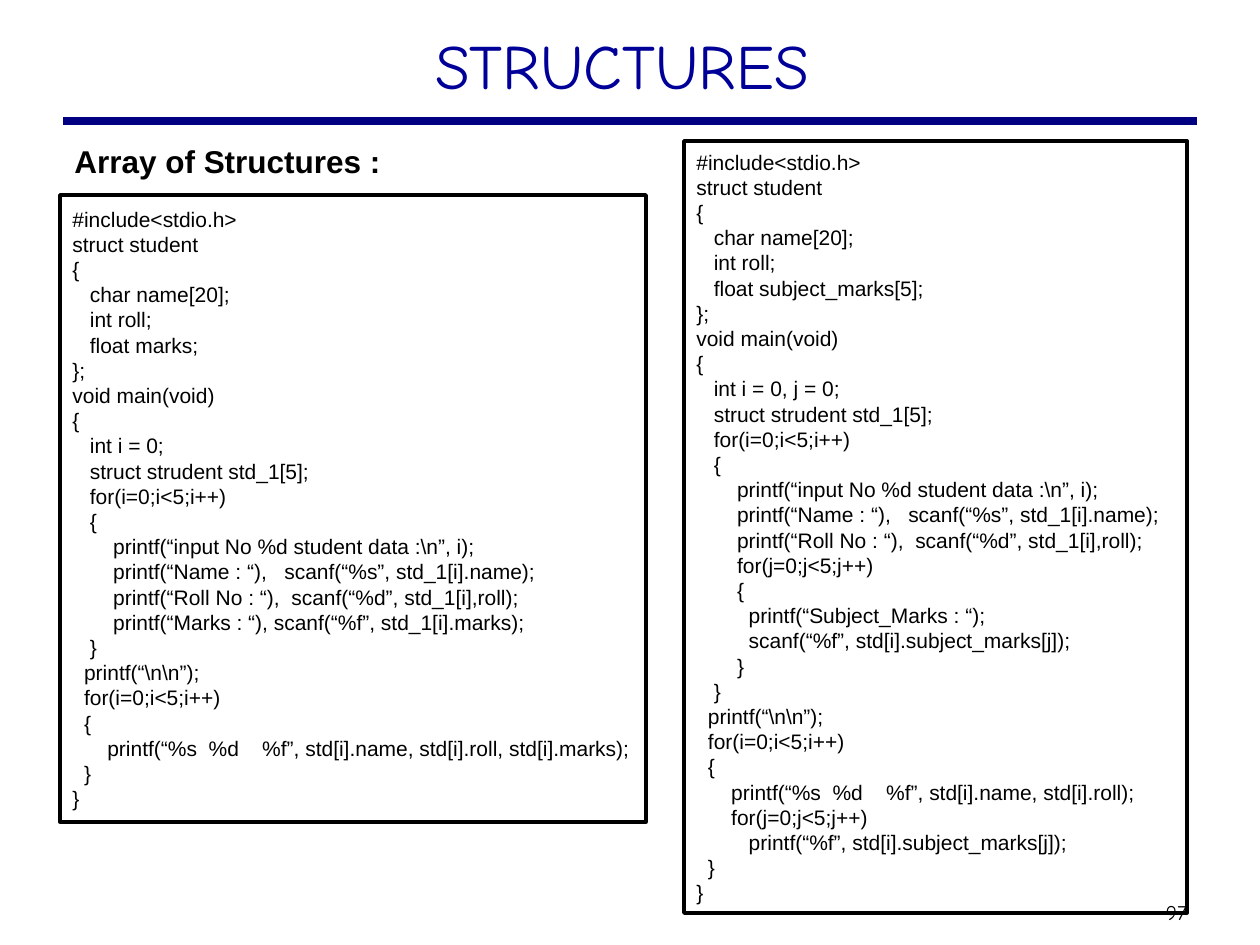
from pptx import Presentation
from pptx import util as u
from pptx.dml.color import RGBColor
from pptx.enum import shapes, text
from lxml import etree

EMU_PER_PX = 914400 / 126
DRAWING = "http://schemas.openxmlformats.org/drawingml/2006/main"

HEADER = r"""#include<stdio.h>
struct student
{
   char name[20];
   int roll;
"""
INPUT = r"""   struct strudent std_1[5];
   for(i=0;i<5;i++)
   {
       printf(“input No %d student data :\n”, i);
       printf(“Name : “),   scanf(“%s”, std_1[i].name);
       printf(“Roll No : “),  scanf(“%d”, std_1[i],roll);
"""
OUTPUT = r"""   }
  printf(“\n\n”);
  for(i=0;i<5;i++)
  {
"""
SINGLE_MARK = HEADER + r"""   float marks;
};
void main(void)
{
   int i = 0;
""" + INPUT + r"""       printf(“Marks : “), scanf(“%f”, std_1[i].marks);
""" + OUTPUT + r"""      printf(“%s  %d    %f”, std[i].name, std[i].roll, std[i].marks);
  }
}"""
SUBJECT_MARKS = HEADER + r"""   float subject_marks[5];
};
void main(void)
{
   int i = 0, j = 0;
""" + INPUT + r"""       for(j=0;j<5;j++)
       {
         printf(“Subject_Marks : “);
         scanf(“%f”, std[i].subject_marks[j]);
       }
""" + OUTPUT + r"""      printf(“%s  %d    %f”, std[i].name, std[i].roll);
      for(j=0;j<5;j++)
         printf(“%f”, std[i].subject_marks[j]);
  }
}"""


def px(length):
    return round(length * EMU_PER_PX)


def color(value):
    return RGBColor.from_string(value)


def apply(target, **values):
    for name, value in values.items():
        setattr(target, name, value)


class LectureSlide:
    black, title_blue, rule_blue = "000000", "000099", "000080"
    body_font, title_font = "Arial", "Comic Neue"

    def __init__(self, presentation):
        self.slide = presentation.slides.add_slide(presentation.slide_layouts[6])

    def add_text(self, paragraph, content, size, font, ink, bold=False):
        run = paragraph.add_run()
        run.text = content
        apply(run.font, size=u.Pt(size), name=font, bold=bold)
        run.font.color.rgb = color(ink)

    def label(self, box, runs, font, ink, align=text.PP_ALIGN.LEFT, bold=False,
              **frame_format):
        shape = self.slide.shapes.add_textbox(*map(px, box))
        apply(shape.text_frame, word_wrap=True, **frame_format)
        paragraph = shape.text_frame.paragraphs[0]
        paragraph.alignment = align
        for content, size in runs:
            self.add_text(paragraph, content, size, font, ink, bold)

    def rule(self, left, right, top, width):
        line = self.slide.shapes.add_connector(
            shapes.MSO_CONNECTOR.STRAIGHT, px(left), px(top), px(right), px(top))
        line.line.color.rgb = color(self.rule_blue)
        line.line.width = u.Pt(width)
        etree.SubElement(line._element.spPr, f"{{{DRAWING}}}effectLst")

    def code(self, box, listing):
        shape = self.slide.shapes.add_shape(
            shapes.MSO_SHAPE.RECTANGLE, *map(px, box))
        shape.shadow.inherit = False
        shape.fill.background()
        shape.line.color.rgb = color(self.black)
        shape.line.width = u.Pt(2)
        frame = shape.text_frame
        apply(frame, word_wrap=True, vertical_anchor=text.MSO_ANCHOR.MIDDLE)
        for index, line in enumerate(listing.split("\n")):
            paragraph = frame.add_paragraph() if index else frame.paragraphs[0]
            apply(paragraph, alignment=text.PP_ALIGN.LEFT, line_spacing=u.Pt(14.4))
            self.add_text(paragraph, line, 12, self.body_font, self.black)


def main():
    presentation = Presentation()
    apply(presentation, slide_width=px(1260), slide_height=px(945))
    page = LectureSlide(presentation)
    center = text.PP_ALIGN.CENTER

    page.rule(63, 1197, 121, 4.5)
    page.label((1147, 893, 59, 38), [("97", 12)], page.title_font, page.black,
               center, vertical_anchor=text.MSO_ANCHOR.MIDDLE,
               margin_left=px(6), margin_right=px(6))
    page.label((95, 20, 1071, 96), [("STRUCTURES", 36), (" ", 28)],
               page.title_font, page.title_blue, center)
    page.label((62, 136, 1133, 761), [("Array of Structures :", 18)],
               page.body_font, page.black, bold=True)
    page.code((60, 195, 586, 627), SINGLE_MARK)
    page.code((684, 141, 503, 772), SUBJECT_MARKS)
    presentation.save("out.pptx")


if __name__ == "__main__":
    main()
